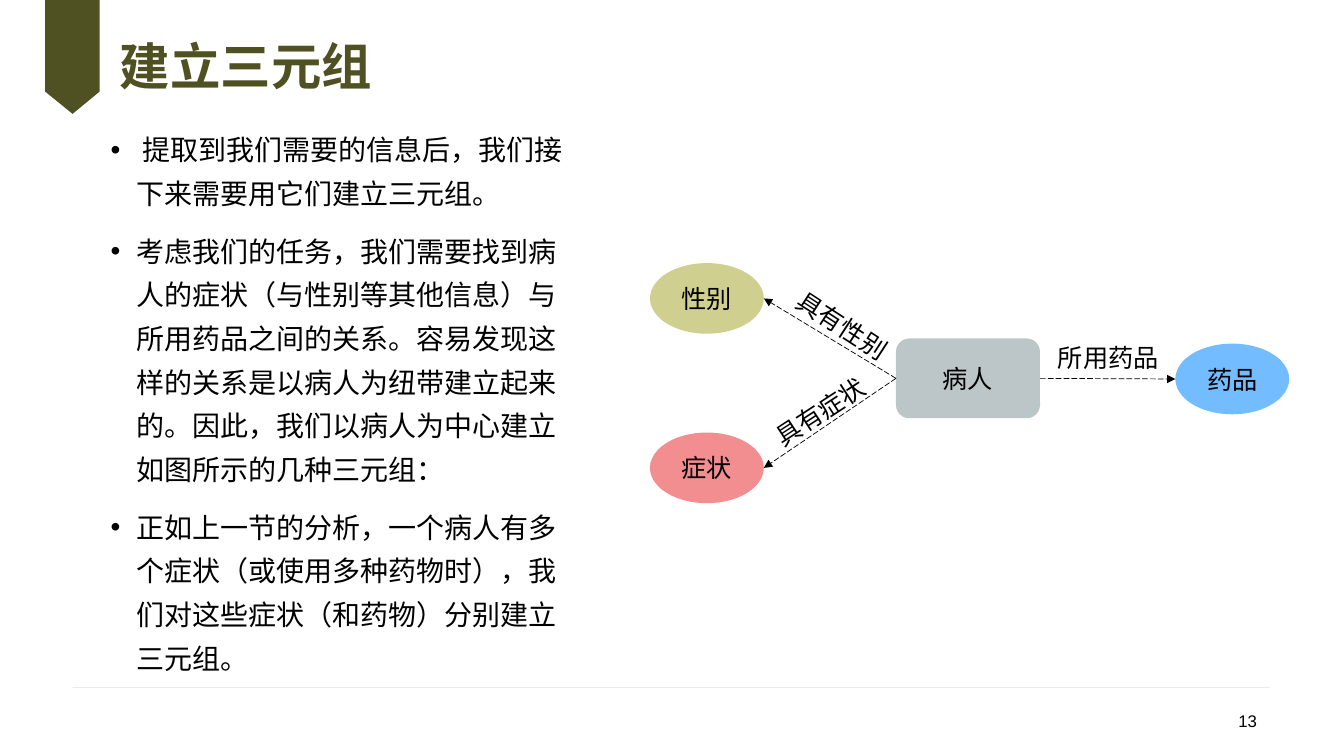
from lxml.etree import SubElement
from pptx import Presentation
from pptx.dml.color import RGBColor
from pptx.enum.dml import MSO_LINE
from pptx.enum.shapes import MSO_CONNECTOR, MSO_SHAPE
from pptx.enum.text import MSO_ANCHOR, PP_ALIGN
from pptx.oxml.ns import qn
from pptx.util import Cm, Pt


def paint(color_format, value):
    color_format.rgb = RGBColor.from_string(value)


def write(frame, text, size, align=None, color="000000", font="Noto Sans CJK SC", bold=False):
    frame.text = text
    frame.word_wrap = True
    for para in frame.paragraphs:
        para.alignment = align
        for span in para.runs:
            span.font.size = Pt(size)
            span.font.bold = bold
            span.font.name = font
            paint(span.font.color, color)
            SubElement(span.font._element, qn("a:ea"), typeface=font)


deck = Presentation()
deck.slide_width, deck.slide_height = Cm(33.87), Cm(19.05)
page = deck.slides.add_slide(deck.slide_layouts[5])

rule = page.shapes.add_connector(MSO_CONNECTOR.STRAIGHT, Cm(1.83), Cm(17.32), Cm(32), Cm(17.32))
rule.line.width = Pt(0.25)
paint(rule.line.color, "BFBFBF")
rule_color = rule.line._ln.find(".//" + qn("a:srgbClr"))
SubElement(rule_color, qn("a:alpha"), val="47000")
SubElement(rule._element.spPr, qn("a:effectLst"))

outline = page.shapes.build_freeform(Cm(2.51), Cm(-0.28))
outline.add_line_segments(
    [(Cm(x), Cm(y)) for x, y in [(2.51, 2.31), (1.83, 2.87), (1.14, 2.31), (1.14, -0.28)]]
)
ribbon = outline.convert_to_shape()
ribbon.shadow.inherit = False
ribbon.fill.solid()
paint(ribbon.fill.fore_color, "505122")
ribbon.line.fill.background()

title = page.shapes.title
title.left, title.top, title.width, title.height = Cm(3.02), Cm(0.66), Cm(22.68), Cm(2.18)
frame = title.text_frame
write(frame, "建立三元组", 36, PP_ALIGN.LEFT, "505122", bold=True)
frame.vertical_anchor = MSO_ANCHOR.MIDDLE
frame.margin_left = frame.margin_right = frame.margin_top = frame.margin_bottom = 0
frame.paragraphs[0].line_spacing = 0.9

number = page.shapes.add_textbox(Cm(24.31), Cm(17.65), Cm(7.62), Cm(1.02))
write(number.text_frame, "13", 12, PP_ALIGN.RIGHT, font="Arial")
number.text_frame.vertical_anchor = MSO_ANCHOR.MIDDLE

points = [
    " 提取到我们需要的信息后，我们接下来需要用它们建立三元组。",
    "考虑我们的任务，我们需要找到病人的症状（与性别等其他信息）与所用药品之间的关系。"
    "容易发现这样的关系是以病人为纽带建立起来的。因此，我们以病人为中心建立如图所示的几种三元组：",
    "正如上一节的分析，一个病人有多个症状（或使用多种药物时），我们对这些症状（和药物）分别建立三元组。",
]
body = page.shapes.add_textbox(Cm(2.54), Cm(2.84), Cm(12.4), Cm(14.55))
frame = body.text_frame
write(frame, "\n".join(points), 20)
frame.margin_left = frame.margin_right = frame.margin_top = frame.margin_bottom = Cm(0.25)
for para in frame.paragraphs:
    para.line_spacing = 1.3
    para.space_before = Pt(10)
    properties = para._p.get_or_add_pPr()
    properties.set("marL", str(Cm(0.64)))
    properties.set("indent", str(Cm(-0.64)))
    SubElement(properties, qn("a:buFont"), typeface="Arial")
    SubElement(properties, qn("a:buChar"), char="•")

entities = {}
for name, kind, left, top, width, height, color in [
    ("病人", MSO_SHAPE.ROUNDED_RECTANGLE, 22.58, 8.53, 3.63, 2.01, "BCC5C8"),
    ("性别", MSO_SHAPE.OVAL, 16.38, 6.63, 2.87, 1.78, "CFD090"),
    ("症状", MSO_SHAPE.OVAL, 16.38, 10.9, 2.87, 1.78, "F28E90"),
    ("药品", MSO_SHAPE.OVAL, 29.62, 8.66, 2.87, 1.78, "72BCFF"),
]:
    entity = page.shapes.add_shape(kind, Cm(left), Cm(top), Cm(width), Cm(height))
    entity.shadow.inherit = False
    entity.fill.solid()
    paint(entity.fill.fore_color, color)
    entity.line.fill.background()
    write(entity.text_frame, name, 18, PP_ALIGN.CENTER)
    entity.text_frame.vertical_anchor = MSO_ANCHOR.MIDDLE
    entities[name] = entity

patient = entities["病人"]
for target, label, left, top, angle, align in [
    ("性别", "具有性别", 19.69, 7.75, 33, PP_ALIGN.LEFT),
    ("症状", "具有症状", 19.13, 9.8, 326.8, PP_ALIGN.LEFT),
    ("药品", "所用药品", 26.29, 8.51, 0, PP_ALIGN.CENTER),
]:
    entity = entities[target]
    if entity.left > patient.left:
        start, end = patient.left + patient.width, entity.left
    else:
        start, end = patient.left, entity.left + entity.width
    arrow = page.shapes.add_connector(
        MSO_CONNECTOR.STRAIGHT,
        start, patient.top + patient.height // 2,
        end, entity.top + entity.height // 2,
    )
    arrow.line.width = Pt(0.5)
    paint(arrow.line.color, "000000")
    arrow.line.dash_style = MSO_LINE.LONG_DASH
    SubElement(arrow.line._ln, qn("a:tailEnd"), type="triangle")
    SubElement(arrow._element.spPr, qn("a:effectLst"))

    box = page.shapes.add_textbox(Cm(left), Cm(top), Cm(3.28), Cm(1.02))
    box.rotation = angle
    write(box.text_frame, label, 18, align)

deck.save("out.pptx")
